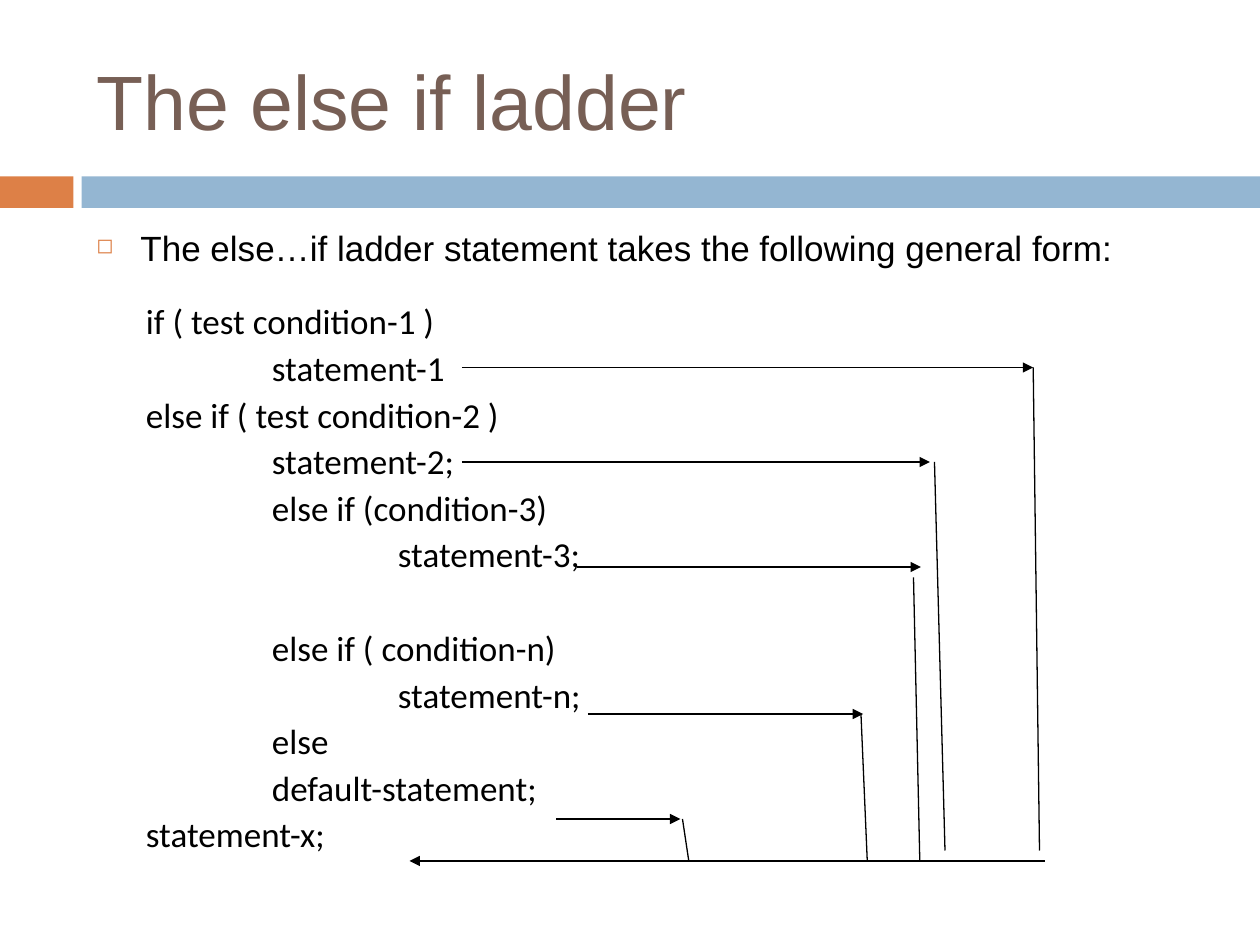
"""Build the slide that explains the else if ladder."""
from lxml import etree
from pptx import Presentation
from pptx.dml.color import RGBColor
from pptx.enum.shapes import MSO_CONNECTOR, MSO_SHAPE
from pptx.enum.text import MSO_ANCHOR, PP_ALIGN
from pptx.oxml.ns import qn
from pptx.util import Pt

RECTANGLE = MSO_SHAPE.RECTANGLE
STRAIGHT = MSO_CONNECTOR.STRAIGHT
TOP, MIDDLE = MSO_ANCHOR.TOP, MSO_ANCHOR.MIDDLE
LEFT, JUSTIFY = PP_ALIGN.LEFT, PP_ALIGN.JUSTIFY

ORANGE = RGBColor(0xDD, 0x80, 0x47)
BLUE = RGBColor(0x94, 0xB6, 0xD2)
BROWN = RGBColor(0x77, 0x5F, 0x55)
BLACK = RGBColor(0, 0, 0)
WHITE = RGBColor(0xFF, 0xFF, 0xFF)

TITLE = "The else if ladder"
INTRO = "The else…if ladder statement takes the following general form:"
LINE_GAP, SKIPPED_LINE = 2.6, 27
TAB = 72
CODE = [
    (0, "if ( test condition-1 )", 0),
    (1, "statement-1", 0),
    (0, "else if ( test condition-2 )", 0),
    (1, "statement-2;", 0),
    (1, "else if (condition-3)", 0),
    (2, "statement-3;", 0),
    (1, "else if ( condition-n)", SKIPPED_LINE),
    (2, "statement-n;", 0),
    (1, "else", 0),
    (1, "default-statement;", 0),
    (0, "statement-x;", 0),
]
ARROWS = [
    (264, 210, 590.4, 210),
    (264, 264, 531.4, 264),
    (330, 324, 526.3, 324),
    (336, 408, 493.2, 408),
    (318, 468, 388.8, 468),
    (597, 492, 234, 492),
]
RAILS = [
    (492, 408, 495.6, 492),
    (522, 330, 525.6, 492),
    (534, 264, 540, 486),
    (590.4, 210, 594, 486),
    (390, 468, 393.6, 492),
]


def add_rectangle(shapes, left, top, width, height, color):
    box = shapes.add_shape(RECTANGLE, Pt(left), Pt(top), Pt(width), Pt(height))
    box.shadow.inherit = False
    box.fill.solid()
    box.fill.fore_color.rgb = color
    box.line.fill.background()
    return box


def add_text_box(shapes, left, top, width, height, anchor):
    box = shapes.add_textbox(Pt(left), Pt(top), Pt(width), Pt(height))
    box.text_frame.word_wrap = True
    box.text_frame.vertical_anchor = anchor
    return box.text_frame.paragraphs[0]


def write(para, text, font, size, color, align=LEFT):
    para.text = text
    para.alignment = align
    para.font.name = font
    para.font.size = Pt(size)
    para.font.color.rgb = color


def set_indent(para, margin, first=0):
    properties = para._p.get_or_add_pPr()
    properties.set("marL", str(Pt(margin)))
    properties.set("indent", str(Pt(first)))
    return properties


def add_bullet(para, symbol, color, percent):
    properties = set_indent(para, 25.2, -25.2)
    bullet_color = etree.Element(qn("a:buClr"))
    etree.SubElement(bullet_color, qn("a:srgbClr"), val=str(color))
    size = etree.Element(qn("a:buSzPct"), val=str(percent * 1000))
    character = etree.Element(qn("a:buChar"), char=symbol)
    for index, element in enumerate((bullet_color, size, character)):
        properties.insert(index, element)


def add_line(shapes, ends, arrow):
    line = shapes.add_connector(STRAIGHT, *(Pt(value) for value in ends))
    line.line.color.rgb = BLACK
    line.line.width = Pt(0.75)
    if arrow:
        etree.SubElement(line.line._get_or_add_ln(), qn("a:tailEnd"), type="triangle")
    etree.SubElement(line._element.spPr, qn("a:effectLst"))


def add_code(shapes):
    box = add_rectangle(shapes, 76.3, 167.8, 410.4, 334.8, WHITE)
    frame = box.text_frame
    frame.word_wrap = True
    frame.vertical_anchor = TOP
    for index, (level, text, extra) in enumerate(CODE):
        para = frame.add_paragraph() if index else frame.paragraphs[0]
        write(para, text, "Calibri", 20, BLACK, JUSTIFY)
        para.space_before = Pt(LINE_GAP + extra)
        set_indent(para, level * TAB)


def main():
    deck = Presentation()
    deck.slide_width, deck.slide_height = Pt(720), Pt(540)
    page = deck.slides.add_slide(deck.slide_layouts[6])

    add_rectangle(page.shapes, 0, 100.8, 42, 18, ORANGE)
    add_rectangle(page.shapes, 46.6, 100.8, 673.4, 18, BLUE)

    title = add_text_box(page.shapes, 48, 18, 642, 78, MIDDLE)
    write(title, TITLE, "Arial", 44, BROWN)
    intro = add_text_box(page.shapes, 48, 126, 642, 354, TOP)
    write(intro, INTRO, "Arial", 20, BLACK)
    add_bullet(intro, "◻", ORANGE, 60)

    ladder = page.shapes.add_group_shape()
    add_code(ladder.shapes)
    for ends in ARROWS:
        add_line(ladder.shapes, ends, True)
    for ends in RAILS:
        add_line(ladder.shapes, ends, False)
    deck.save("out.pptx")


if __name__ == "__main__":
    main()
